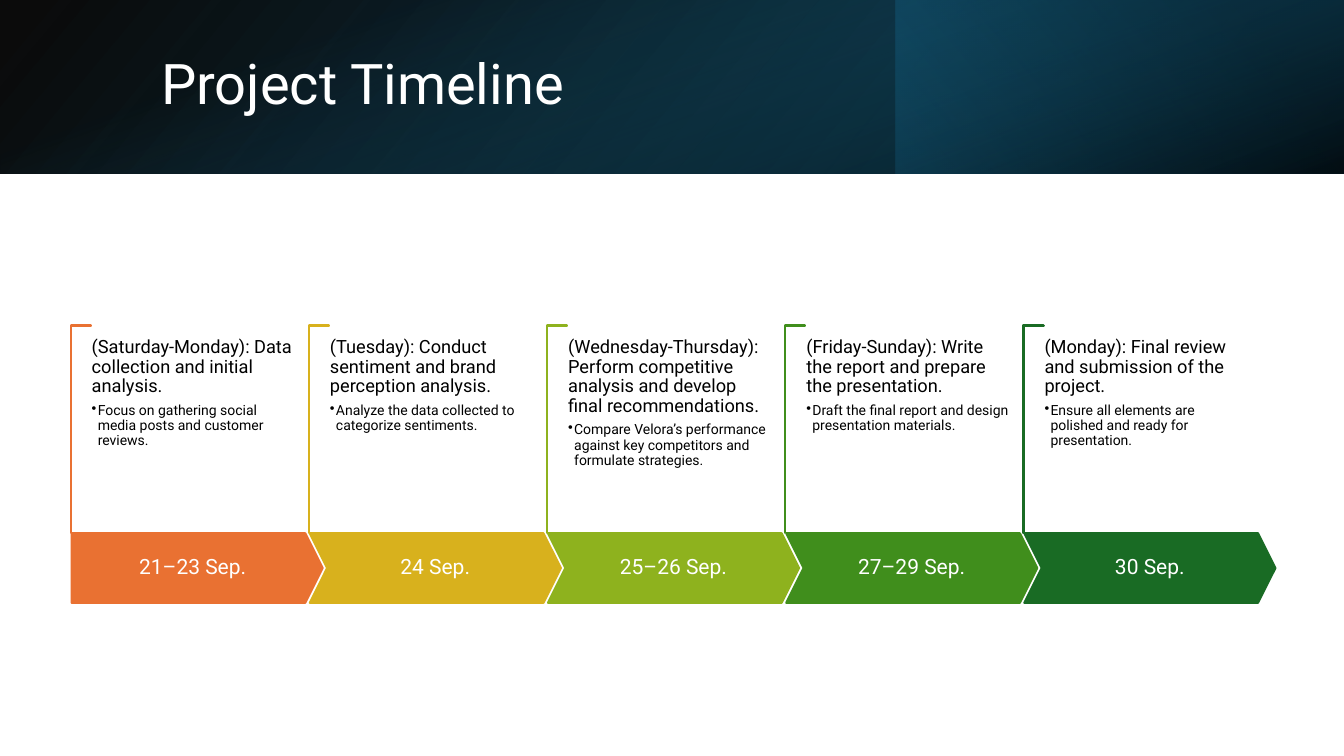
from dataclasses import dataclass

from lxml import etree
from pptx import Presentation
from pptx import util as u
from pptx.dml.color import RGBColor
from pptx.enum import shapes, text
from pptx.oxml.ns import qn

TITLE = "Project Timeline"
# dates, colour, task, detail
STAGES = [
    ("21–23 Sep.", "E97132",
     "(Saturday-Monday): Data collection and initial analysis.",
     "Focus on gathering social media posts and customer reviews."),
    ("24 Sep.", "D8B11D",
     "(Tuesday): Conduct sentiment and brand perception analysis.",
     "Analyze the data collected to categorize sentiments."),
    ("25–26 Sep.", "8EB21E",
     "(Wednesday-Thursday): Perform competitive analysis and develop final recommendations.",
     "Compare Velora’s performance against key competitors and formulate strategies."),
    ("27–29 Sep.", "408E1C",
     "(Friday-Sunday): Write the report and prepare the presentation.",
     "Draft the final report and design presentation materials."),
    ("30 Sep.", "196B24",
     "(Monday): Final review and submission of the project.",
     "Ensure all elements are polished and ready for presentation."),
]


@dataclass(frozen=True)
class Theme:
    font: str = "Roboto"
    white: str = "FFFFFF"
    ink: str = "000000"
    title: int = 40
    date: int = 15
    task: int = 13
    detail: int = 10
    line: float = 1.5
    spacing: float = 0.9


THEME = Theme()
WIDTH, HEIGHT = 13.33, 7.5
BANNER = 1.72
# Banner layers: box, rotation, mirrored, angle, (position, colour, opacity) stops
LAYERS = [
    ((0, 0, WIDTH, BANNER), 0, True, 140,
     [(0, "000000", 96), (100, "104862", 100)]),
    ((WIDTH * 2 / 3, 0, WIDTH / 3, BANNER), 180, False, 320,
     [(19, "0B3041", 68), (100, "156082", 79)]),
    (((WIDTH - BANNER) / 2, (BANNER - WIDTH) / 2, BANNER, WIDTH), 90, False, 340,
     [(23, "156082", 0), (99, "000000", 74)]),
]
FIRST, LAST = 0.71, 10.16
STEP = (LAST - FIRST) / (len(STAGES) - 1)
ARROW_TOP, ARROW_WIDTH, ARROW_HEIGHT = 5.29, 2.49, 0.69
BRACKET_TOP, BRACKET_WIDTH = 3.23, 0.2
NOTE_TOP, NOTE_WIDTH, NOTE_HEIGHT = 3.35, 2.02, 1.82


def inches(*lengths):
    return [u.Inches(length) for length in lengths]


def add_shape(page, kind, box, fill=None, line=None, rotation=0):
    shape = page.shapes.add_shape(kind, *inches(*box))
    shape.shadow.inherit = False
    shape.rotation = rotation
    if fill:
        shape.fill.solid()
        shape.fill.fore_color.rgb = RGBColor.from_string(fill)
    if line:
        shape.line.color.rgb = RGBColor.from_string(line)
        shape.line.width = u.Pt(THEME.line)
    else:
        shape.line.fill.background()
    return shape


def fill_gradient(shape, angle, stops):
    """Fill with a linear gradient whose stops may be translucent."""
    gradient = etree.Element(qn("a:gradFill"), rotWithShape="1")
    stop_list = etree.SubElement(gradient, qn("a:gsLst"))
    for position, colour, opacity in stops:
        stop = etree.SubElement(stop_list, qn("a:gs"), pos=str(position * 1000))
        tint = etree.SubElement(stop, qn("a:srgbClr"), val=colour)
        etree.SubElement(tint, qn("a:alpha"), val=str(opacity * 1000))
    etree.SubElement(gradient, qn("a:lin"), ang=str(angle * 60000), scaled="0")
    shape._element.spPr.find(qn("a:prstGeom")).addnext(gradient)


def write(para, words, size, colour, after=0.0):
    """Set the words; after is the gap below as a share of the type size."""
    para.text = words
    para.font.name = THEME.font
    para.font.size = u.Pt(size)
    para.font.color.rgb = RGBColor.from_string(colour)
    para.line_spacing = THEME.spacing
    para.space_after = u.Pt(size * after)


def add_bullet(para, indent):
    para.level = 1
    props = para._p.get_or_add_pPr()
    props.set("marL", str(u.Inches(indent)))
    props.set("indent", str(-u.Inches(indent)))
    etree.SubElement(props, qn("a:buChar"), char="•")


def set_margins(frame, across, down):
    frame.margin_left = frame.margin_right = u.Inches(across)
    frame.margin_top = frame.margin_bottom = u.Inches(down)
    frame.word_wrap = True


def add_banner(page):
    for box, rotation, mirrored, angle, stops in LAYERS:
        layer = add_shape(page, shapes.MSO_SHAPE.RECTANGLE, box, rotation=rotation)
        fill_gradient(layer, angle, stops)
        if mirrored:
            layer._element.spPr.xfrm.set("flipH", "1")
    frame = page.shapes.add_textbox(*inches(1.5, 0.38, 10.98, 0.96)).text_frame
    set_margins(frame, 0.1, 0.05)
    frame.vertical_anchor = text.MSO_ANCHOR.MIDDLE
    write(frame.paragraphs[0], TITLE, THEME.title, THEME.white)


def add_stage(page, index, dates, colour, task, detail):
    left = FIRST + index * STEP

    # The bracket is laid out flat and turned upright about its centre.
    length = ARROW_TOP - BRACKET_TOP
    turn = (length - BRACKET_WIDTH) / 2
    bracket = add_shape(
        page, shapes.MSO_SHAPE.CORNER,
        (left - 0.01 - turn, BRACKET_TOP + turn, length, BRACKET_WIDTH),
        THEME.white, colour, rotation=90)
    bracket.adjustments[0] = bracket.adjustments[1] = 0.01

    kind = shapes.MSO_SHAPE.CHEVRON if index else shapes.MSO_SHAPE.PENTAGON
    arrow = add_shape(page, kind, (left, ARROW_TOP, ARROW_WIDTH, ARROW_HEIGHT),
                      colour, colour)
    arrow.adjustments[0] = 0.25
    set_margins(arrow.text_frame, 0.1, 0.21)
    arrow.text_frame.vertical_anchor = text.MSO_ANCHOR.MIDDLE
    label = arrow.text_frame.paragraphs[0]
    label.alignment = text.PP_ALIGN.CENTER
    write(label, dates, THEME.date, THEME.white)

    note = page.shapes.add_textbox(
        *inches(left + BRACKET_WIDTH, NOTE_TOP, NOTE_WIDTH, NOTE_HEIGHT)).text_frame
    set_margins(note, 0, 0)
    write(note.paragraphs[0], task, THEME.task, THEME.ink, after=0.35)
    point = note.add_paragraph()
    write(point, detail, THEME.detail, THEME.ink, after=0.15)
    # The bullet mark must come before the paragraph's default font.
    add_bullet(point, 0.06)
    props = point._p.pPr
    props.append(props.find(qn("a:defRPr")))


def main():
    deck = Presentation()
    deck.slide_width, deck.slide_height = inches(WIDTH, HEIGHT)
    page = deck.slides.add_slide(deck.slide_layouts[6])
    add_banner(page)
    for index, stage in enumerate(STAGES):
        add_stage(page, index, *stage)
    deck.save("out.pptx")


if __name__ == "__main__":
    main()
